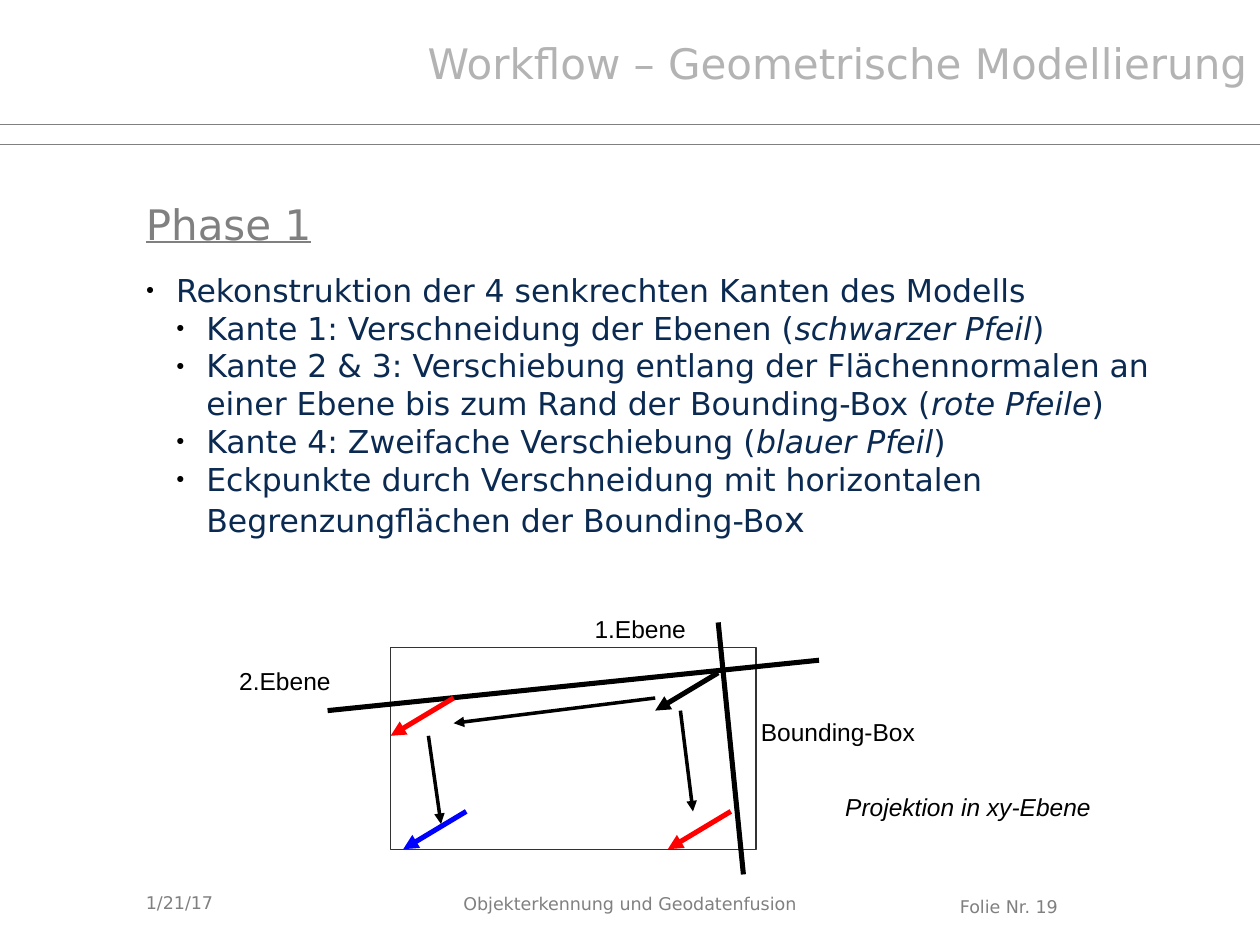
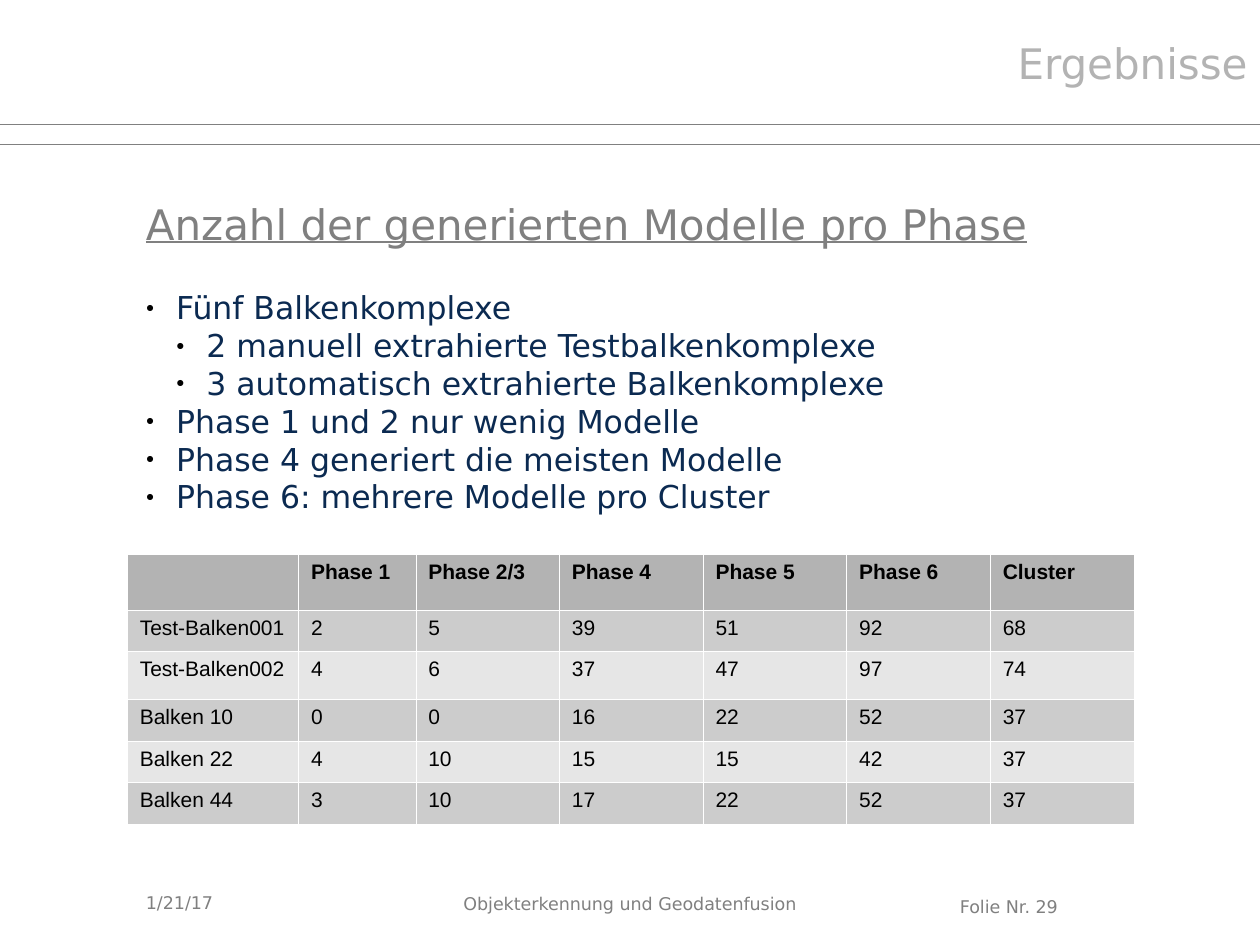
from dataclasses import dataclass
from typing import Optional

import pptx
import pptx.dml.color
import pptx.enum.shapes
import pptx.enum.text
import pptx.oxml.ns
import pptx.slide
import pptx.table
import pptx.text.text
import pptx.util
from lxml import etree
from pptx.util import Inches

SANS = "DejaVu Sans"
ARIAL = "Arial"
BLACK, WHITE, RED, BLUE = "000000", "FFFFFF", "FF0000", "0000FF"
GRAY, LIGHT_GRAY, NAVY, FRAME = "808080", "B3B3B3", "0B2A51", "333333"
HEADER_FILL, ROW_FILLS = "B3B3B3", ("CCCCCC", "E6E6E6")
INDENT = 0.24
THICK = 2.89
HAIRLINE = 0
TOP, MIDDLE = pptx.enum.text.MSO_ANCHOR.TOP, pptx.enum.text.MSO_ANCHOR.MIDDLE
RIGHT = pptx.enum.text.PP_ALIGN.RIGHT


@dataclass(frozen=True)
class Style:
    size: float
    color: str
    font: str = SANS
    bold: bool = False
    italic: Optional[bool] = False
    underline: bool = False


@dataclass(frozen=True)
class Area:
    left: float
    top: float
    width: float
    height: float


@dataclass(frozen=True)
class Stroke:
    start: tuple[float, float]
    end: tuple[float, float]
    color: str = BLACK
    width: float = THICK
    arrow: bool = False


@dataclass(frozen=True)
class Span:
    text: str
    italic: bool = False
    size: Optional[float] = None


@dataclass(frozen=True)
class Bullet:
    spans: tuple[Span, ...]
    level: int = 0


@dataclass(frozen=True)
class Label:
    text: str
    area: Area
    italic: bool = False


TITLE = Style(24, LIGHT_GRAY)
HEADING = Style(24, GRAY, underline=True)
FOOTER = Style(10, GRAY)
BODY = Style(18, NAVY, italic=None)

RULES = [Stroke((0, y), (10, y), GRAY, 0.5) for y in (0.99, 1.15)]

STEPS = [
    Bullet((Span("Rekonstruktion der 4 senkrechten Kanten des Modells"),)),
    Bullet((Span("Kante 1: Verschneidung der Ebenen ("),
            Span("schwarzer Pfeil", italic=True), Span(")")), 1),
    Bullet((Span("Kante 2 & 3: Verschiebung entlang der Flächennormalen an "
                 "einer Ebene bis zum Rand der Bounding-Box ("),
            Span("rote Pfeile", italic=True), Span(")")), 1),
    Bullet((Span("Kante 4: Zweifache Verschiebung ("),
            Span("blauer Pfeil", italic=True), Span(")")), 1),
    Bullet((Span("Eckpunkte durch Verschneidung mit horizontalen "
                 "Begrenzungflächen der Bounding-Bo"), Span("x", size=20)), 1),
]

FINDINGS = [
    Bullet((Span("Fünf Balkenkomplexe"),)),
    Bullet((Span("2 manuell extrahierte Testbalkenkomplexe"),), 1),
    Bullet((Span("3 automatisch extrahierte Balkenkomplexe"),), 1),
    Bullet((Span("Phase 1 und 2 nur wenig Modelle"),)),
    Bullet((Span("Phase 4 generiert die meisten Modelle"),)),
    Bullet((Span("Phase 6: mehrere Modelle pro Cluster"),)),
]


def edge_arrow(left: float, top: float, color: str) -> Stroke:
    return Stroke((left + 0.5, top), (left, top + 0.3), color, arrow=True)


PLANES_AND_ARROWS = [
    edge_arrow(5.2, 5.34, BLACK),
    Stroke((6.5, 5.24), (2.6, 5.64)),
    Stroke((5.7, 4.94), (5.9, 6.94)),
    edge_arrow(3.1, 5.54, RED),
    edge_arrow(5.3, 6.44, RED),
    edge_arrow(3.2, 6.44, BLUE),
    Stroke((5.4, 5.64), (5.5, 6.44), width=HAIRLINE, arrow=True),
    Stroke((5.2, 5.54), (3.6, 5.74), width=HAIRLINE, arrow=True),
    Stroke((3.4, 5.84), (3.5, 6.54), width=HAIRLINE, arrow=True),
]

LABELS = [
    Label("1.Ebene", Area(4.62, 4.82, 1.12, 0.38)),
    Label("2.Ebene", Area(1.8, 5.24, 1.19, 0.38)),
    Label("Bounding-Box", Area(5.94, 5.64, 1.76, 0.38)),
    Label("Projektion in xy-Ebene", Area(6.61, 6.24, 2.69, 0.38), italic=True),
]

COLUMN_WIDTHS = [1.36, 0.93] + [1.14] * 5
ROW_HEIGHTS = [0.44, 0.33, 0.38, 0.33, 0.33, 0.33]
MODEL_COUNTS = [
    ("", "Phase 1", "Phase 2/3", "Phase 4", "Phase 5", "Phase 6", "Cluster"),
    ("Test-Balken001", 2, 5, 39, 51, 92, 68),
    ("Test-Balken002", 4, 6, 37, 47, 97, 74),
    ("Balken 10", 0, 0, 16, 22, 52, 37),
    ("Balken 22", 4, 10, 15, 15, 42, 37),
    ("Balken 44", 3, 10, 17, 22, 52, 37),
]


def rgb(color: str) -> pptx.dml.color.RGBColor:
    return pptx.dml.color.RGBColor.from_string(color)


def add_xml(parent: etree._Element, tag: str, **attributes: str) -> etree._Element:
    return etree.SubElement(parent, pptx.oxml.ns.qn(tag), attributes)


def place(area: Area) -> tuple[int, ...]:
    return tuple(Inches(v) for v in (area.left, area.top, area.width, area.height))


def set_font(para: pptx.text.text._Paragraph, style: Style) -> None:
    font = para.font
    font.name = style.font
    font.size = pptx.util.Pt(style.size)
    font.bold = style.bold
    font.italic = style.italic
    font.underline = style.underline
    font.color.rgb = rgb(style.color)


def add_frame(page: pptx.slide.Slide, area: Area, anchor=TOP) -> pptx.text.text.TextFrame:
    frame = page.shapes.add_textbox(*place(area)).text_frame
    frame.word_wrap = True
    frame.vertical_anchor = anchor
    return frame


def add_text(page: pptx.slide.Slide, text: str, area: Area, style: Style,
             anchor=TOP, align=None) -> None:
    para = add_frame(page, area, anchor).paragraphs[0]
    para.text = text
    para.alignment = align
    set_font(para, style)


def add_stroke(page: pptx.slide.Slide, stroke: Stroke) -> None:
    ends = [Inches(v) for v in (*stroke.start, *stroke.end)]
    line = page.shapes.add_connector(pptx.enum.shapes.MSO_CONNECTOR.STRAIGHT, *ends)
    line.line.color.rgb = rgb(stroke.color)
    line.line.width = pptx.util.Pt(stroke.width)
    if stroke.arrow:
        add_xml(line.line._get_or_add_ln(), "a:tailEnd", type="triangle")
    add_xml(line._element.spPr, "a:effectLst")


def add_bullets(page: pptx.slide.Slide, bullets: list[Bullet], area: Area) -> None:
    frame = add_frame(page, area)
    for index, bullet in enumerate(bullets):
        para = frame.add_paragraph() if index else frame.paragraphs[0]
        para.level = bullet.level
        properties = para._p.get_or_add_pPr()
        properties.set("marL", str(Inches(INDENT * (bullet.level + 1))))
        properties.set("indent", str(Inches(-INDENT)))
        add_xml(add_xml(properties, "a:buClr"), "a:srgbClr", val=BLACK)
        add_xml(properties, "a:buSzPct", val="45000")
        add_xml(properties, "a:buFont", typeface=ARIAL)
        add_xml(properties, "a:buChar", char="●")
        set_font(para, BODY)
        for part in bullet.spans:
            span = para.add_run()
            span.text = part.text
            if part.italic:
                span.font.italic = True
            if part.size:
                span.font.size = pptx.util.Pt(part.size)


def set_borders(cell: pptx.table._Cell) -> None:
    properties = cell._tc.get_or_add_tcPr()
    for side in ("a:lnL", "a:lnR", "a:lnT", "a:lnB"):
        border = add_xml(properties, side, w=str(pptx.util.Pt(0.06)))
        add_xml(add_xml(border, "a:solidFill"), "a:srgbClr", val=WHITE)


def add_model_table(page: pptx.slide.Slide, area: Area) -> None:
    table = page.shapes.add_table(len(ROW_HEIGHTS), len(COLUMN_WIDTHS), *place(area)).table
    table.first_row = table.horz_banding = False
    for column, width in zip(table.columns, COLUMN_WIDTHS):
        column.width = Inches(width)
    for index, (row, height, values) in enumerate(zip(table.rows, ROW_HEIGHTS, MODEL_COUNTS)):
        row.height = Inches(height)
        fill = ROW_FILLS[(index - 1) % 2] if index else HEADER_FILL
        for cell, value in zip(row.cells, values):
            set_borders(cell)
            cell.fill.solid()
            cell.fill.fore_color.rgb = rgb(fill)
            cell.text = str(value)
            set_font(cell.text_frame.paragraphs[0], Style(12, BLACK, ARIAL, bold=index == 0))


def add_page(deck, title: str, title_area: Area, heading: str, number: int) -> pptx.slide.Slide:
    page = deck.slides.add_slide(deck.slide_layouts[6])
    for rule in RULES:
        add_stroke(page, rule)
    add_text(page, "Objekterkennung und Geodatenfusion", Area(3.58, 7.04, 3.46, 0.26), FOOTER)
    add_text(page, f"Folie Nr. {number}", Area(7.52, 7.06, 1.89, 0.26), FOOTER)
    add_text(page, "1/21/17", Area(1.06, 6.97, 2.33, 0.39), FOOTER, MIDDLE)
    add_text(page, heading, Area(1.06, 1.15, 8.93, 1.25), HEADING, MIDDLE)
    add_text(page, title, title_area, TITLE, align=RIGHT)
    return page


def add_projection(page: pptx.slide.Slide) -> None:
    bounding_box = page.shapes.add_shape(
        pptx.enum.shapes.MSO_SHAPE.RECTANGLE, *place(Area(3.1, 5.14, 2.9, 1.6)))
    bounding_box.shadow.inherit = False
    bounding_box.fill.background()
    bounding_box.line.color.rgb = rgb(FRAME)
    bounding_box.line.width = pptx.util.Pt(HAIRLINE)
    for stroke in PLANES_AND_ARROWS:
        add_stroke(page, stroke)
    for label in LABELS:
        add_text(page, label.text, label.area, Style(14, BLACK, ARIAL, italic=label.italic))


def main() -> None:
    deck = pptx.Presentation()
    deck.slide_width, deck.slide_height = Inches(10), Inches(7.5)

    modelling = add_page(deck, "Workflow – Geometrische Modellierung",
                         Area(3.2, 0.25, 6.8, 0.89), "Phase 1", 19)
    add_bullets(modelling, STEPS, Area(1.06, 2.1, 8.24, 3.5))
    add_projection(modelling)

    results = add_page(deck, "Ergebnisse", Area(4.69, 0.25, 5.31, 0.49),
                       "Anzahl der generierten Modelle pro Phase", 29)
    add_bullets(results, FINDINGS, Area(1.06, 2.24, 8.16, 2.66))
    add_model_table(results, Area(1.01, 4.4, 7.99, 2.14))

    deck.save("out.pptx")


if __name__ == "__main__":
    main()
